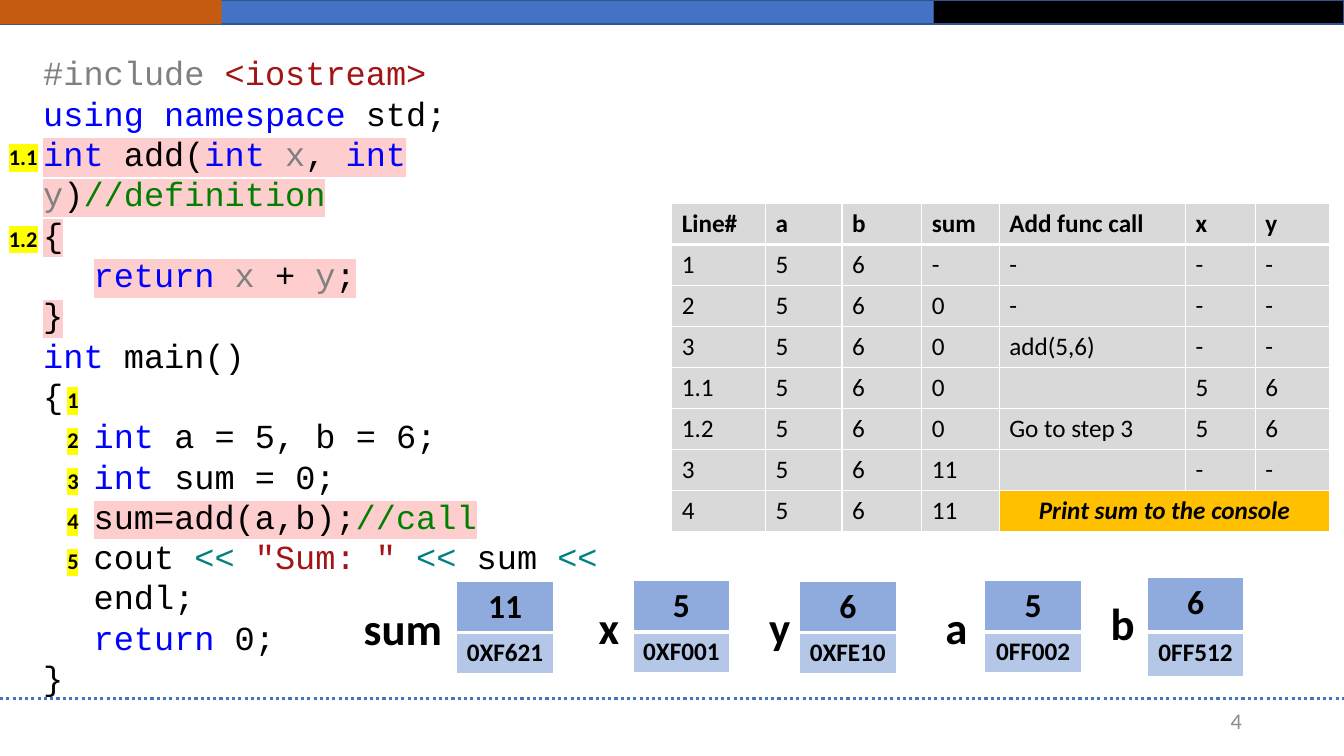
from dataclasses import dataclass

from lxml import etree
from pptx import Presentation
from pptx.dml.color import RGBColor
from pptx.enum.dml import MSO_LINE
from pptx.enum.shapes import MSO_CONNECTOR, MSO_SHAPE
from pptx.enum.text import MSO_ANCHOR, MSO_AUTO_SIZE, PP_ALIGN
from pptx.oxml.ns import qn
from pptx.util import Pt

RECTANGLE, STRAIGHT = MSO_SHAPE.RECTANGLE, MSO_CONNECTOR.STRAIGHT
DOTTED, MIDDLE, GROW = MSO_LINE.ROUND_DOT, MSO_ANCHOR.MIDDLE, MSO_AUTO_SIZE.SHAPE_TO_FIT_TEXT
CENTER, RIGHT = PP_ALIGN.CENTER, PP_ALIGN.RIGHT


@dataclass(frozen=True)
class Theme:
    font: str = "Calibri"
    code_font: str = "Courier New"
    text: str = "000000"
    keyword: str = "0000FF"
    muted: str = "808080"
    string: str = "A31515"
    comment: str = "008000"
    operator: str = "008080"
    code_mark: str = "FECECE"
    step_mark: str = "FFFF00"
    blue: str = "4472C4"
    blue_edge: str = "325491"
    orange: str = "C55A11"
    page_number: str = "8C8C8C"
    cell: str = "D9D9D9"
    result: str = "FFC000"
    value: str = "8FAADC"
    address: str = "B4C7E7"
    border: str = "FFFFFF"
    label_size: int = 32
    code_size: int = 24
    table_size: int = 18
    small_size: int = 16


THEME = Theme()

CODE = [
    (0, False, [("#include ", "muted"), ("<iostream> ", "string")]),
    (0, False, [("using namespace", "keyword"), (" std;", "text")]),
    (0, True, [("int", "keyword"), (" add(", "text"), ("int", "keyword"), (" ", "text"),
               ("x", "muted"), (", ", "text"), ("int", "keyword"), (" ", "text"),
               ("y", "muted"), (")", "text"), ("//definition", "comment")]),
    (0, True, [("{", "text")]),
    (0, True, [("\treturn", "keyword"), (" ", "text"), ("x", "muted"), (" + ", "text"),
               ("y", "muted"), (";", "text")]),
    (0, True, [("}", "text")]),
    (0, False, [("int", "keyword"), (" main()", "text")]),
    (0, False, [("{", "text")]),
    (1, False, [("int", "keyword"), (" a = 5, b = 6;", "text")]),
    (1, False, [("int", "keyword"), (" sum = 0;", "text")]),
    (1, True, [("sum=add(a,b);", "text"), ("//call", "comment")]),
    (1, False, [("cout ", "text"), ("<< ", "operator"), ('"Sum: " ', "string"),
                ("<<", "operator"), (" sum ", "text"), ("<< ", "operator"), ("endl;", "text")]),
    (1, False, [("return", "keyword"), (" 0;", "text")]),
    (0, False, [("}", "text")]),
]

TRACE = [
    ["Line#", "a", "b", "sum", "Add func call", "x", "y"],
    ["1", "5", "6", "-", "-", "-", "-"],
    ["2", "5", "6", "0", "-", "-", "-"],
    ["3", "5", "6", "0", "add(5,6)", "-", "-"],
    ["1.1", "5", "6", "0", "", "5", "6"],
    ["1.2", "5", "6", "0", "Go to step 3", "5", "6"],
    ["3", "5", "6", "11", "", "-", "-"],
    ["4", "5", "6", "11", "Print sum to the console", "", ""],
]
TRACE_WIDTHS = [67, 54.7, 56.9, 55.4, 133.2, 49.7, 53.1]

MEMORY = [
    ("sum", "11", "0XF621", (252.7, 425.5, 98.6), (326.2, 415.4), (36.5, 29.3)),
    ("x", "5", "0XF001", (420.5, 424.8, 56.9), (452.2, 414.7), (36.5, 29.3)),
    ("y", "6", "0XFE10", (542.2, 424.8, 56.9), (571, 415.4), (36.5, 29.3)),
    ("a", "5", "0FF002", (668.2, 424.8, 56.9), (703.4, 414.7), (36.5, 29.3)),
    ("b", "6", "0FF512", (786.2, 421.9, 56.9), (819.4, 412.6), (38.9, 31.7)),
]


def color(value):
    return RGBColor.from_string(value)


def apply_format(target, values):
    for name, value in values.items():
        setattr(target, name, value)


def add_solid_fill(parent, value):
    fill = etree.SubElement(parent, qn("a:solidFill"))
    etree.SubElement(fill, qn("a:srgbClr"), val=value)


def add_span(para, text, size, ink=THEME.text, font=THEME.font, mark=None, **styles):
    span = para.add_run()
    span.text = text
    apply_format(span.font, {"size": Pt(size), "name": font, **styles})
    span.font.color.rgb = color(ink)
    if mark:
        highlight = etree.Element(qn("a:highlight"))
        etree.SubElement(highlight, qn("a:srgbClr"), val=mark)
        span.font.fill._xPr.find(qn("a:solidFill")).addnext(highlight)


def add_text_box(page, left, top, width, height, **frame_format):
    frame = page.shapes.add_textbox(Pt(left), Pt(top), Pt(width), Pt(height)).text_frame
    apply_format(frame, {"word_wrap": True, "auto_size": GROW, **frame_format})
    return frame


def add_paras(frame, count):
    return [frame.paragraphs[0]] + [frame.add_paragraph() for _ in range(count - 1)]


def add_bar(page, left, width, fill, edge=None):
    bar = page.shapes.add_shape(RECTANGLE, Pt(left), Pt(0), Pt(width), Pt(17.3))
    bar.shadow.inherit = False
    bar.fill.solid()
    bar.fill.fore_color.rgb = color(fill)
    if edge:
        bar.line.color.rgb = color(edge)
        bar.line.width = Pt(1)
    else:
        bar.line.fill.background()


def add_footer(page):
    rule = page.shapes.add_connector(STRAIGHT, Pt(0), Pt(499), Pt(960), Pt(499))
    rule.line.color.rgb = color(THEME.blue)
    apply_format(rule.line, {"width": Pt(2.25), "dash_style": DOTTED})
    etree.SubElement(rule._element.spPr, qn("a:effectLst"))
    frame = add_text_box(page, 678.2, 500.4, 216, 28.8, vertical_anchor=MIDDLE)
    para = frame.paragraphs[0]
    para.alignment = RIGHT
    add_span(para, "4", THEME.small_size, THEME.page_number)


def add_code(page):
    frame = add_text_box(page, 23.8, 33.8, 480.2, 414.7)
    for para, (level, marked, spans) in zip(add_paras(frame, len(CODE)), CODE):
        if level:
            para.level = level
            para._p.get_or_add_pPr().set("marL", str(Pt(36)))
        for text, kind in spans:
            add_span(para, text, THEME.code_size, getattr(THEME, kind), THEME.code_font,
                     THEME.code_mark if marked else None)


def add_steps(page, steps, left, top, width, height, gap=0):
    frame = add_text_box(page, left, top, width, height)
    for index, (para, step) in enumerate(zip(add_paras(frame, len(steps)), steps)):
        apply_format(para, {"line_spacing": 1.5, "space_before": Pt(gap if index else 0)})
        add_span(para, step, THEME.small_size, mark=THEME.step_mark, bold=True)


def set_cell(cell, text, fill, size, bottom=1, align=None, **styles):
    cell.fill.solid()
    cell.fill.fore_color.rgb = color(fill)
    borders = {"lnL": 1, "lnR": 1, "lnT": 1, "lnB": bottom}
    for position, (side, width) in enumerate(borders.items()):
        line = etree.Element(qn("a:" + side), w=str(Pt(width)))
        add_solid_fill(line, THEME.border)
        cell._tc.get_or_add_tcPr().insert(position, line)
    para = cell.text_frame.paragraphs[0]
    para.alignment = align
    if text:
        add_span(para, text, size, **styles)


def add_grid(page, left, top, widths, heights):
    frame = page.shapes.add_table(len(heights), len(widths), Pt(left), Pt(top),
                                  Pt(sum(widths)), Pt(sum(heights)))
    table = frame.table
    table.horz_banding = False
    for column, width in zip(table.columns, widths):
        column.width = Pt(width)
    for row, height in zip(table.rows, heights):
        row.height = Pt(height)
    return table


def add_trace(page):
    table = add_grid(page, 479.8, 145.4, TRACE_WIDTHS, [29.3] * len(TRACE))
    for row, texts in enumerate(TRACE):
        for column, text in enumerate(texts):
            header = row == 0
            set_cell(table.cell(row, column), text, THEME.cell, THEME.table_size,
                     bottom=3 if header else 1, bold=header)
    last = len(TRACE) - 1
    result = table.cell(last, 4)
    result.merge(table.cell(last, 6))
    result.fill.fore_color.rgb = color(THEME.result)
    para = result.text_frame.paragraphs[0]
    para.alignment = CENTER
    apply_format(para.runs[0].font, {"bold": True, "italic": True})


def add_variable(page, name, value, address, label_at, cell_at, heights):
    table = add_grid(page, *cell_at, [69.12], heights)
    set_cell(table.cell(0, 0), value, THEME.value, THEME.code_size, 3, CENTER, bold=True)
    set_cell(table.cell(1, 0), address, THEME.address, THEME.table_size, 1, CENTER, bold=True)
    label = add_text_box(page, *label_at, 46)
    add_span(label.paragraphs[0], name, THEME.label_size, bold=True)


def main():
    deck = Presentation()
    apply_format(deck, {"slide_width": Pt(960), "slide_height": Pt(540)})
    page = deck.slides.add_slide(deck.slide_layouts[6])
    add_bar(page, 0, 666.7, THEME.blue, THEME.blue_edge)
    add_bar(page, 666.7, 293.3, THEME.text, THEME.blue_edge)
    add_bar(page, 0, 158.4, THEME.orange)
    add_footer(page)
    add_code(page)
    add_steps(page, ["1", "2", "3", "4", "5"], 41, 262.8, 40.3, 178.6)
    add_trace(page)
    add_steps(page, ["1.1", "1.2"], -0.7, 89.3, 49.7, 120.2, gap=29.3)
    for variable in MEMORY:
        add_variable(page, *variable)
    deck.save("out.pptx")


main()
